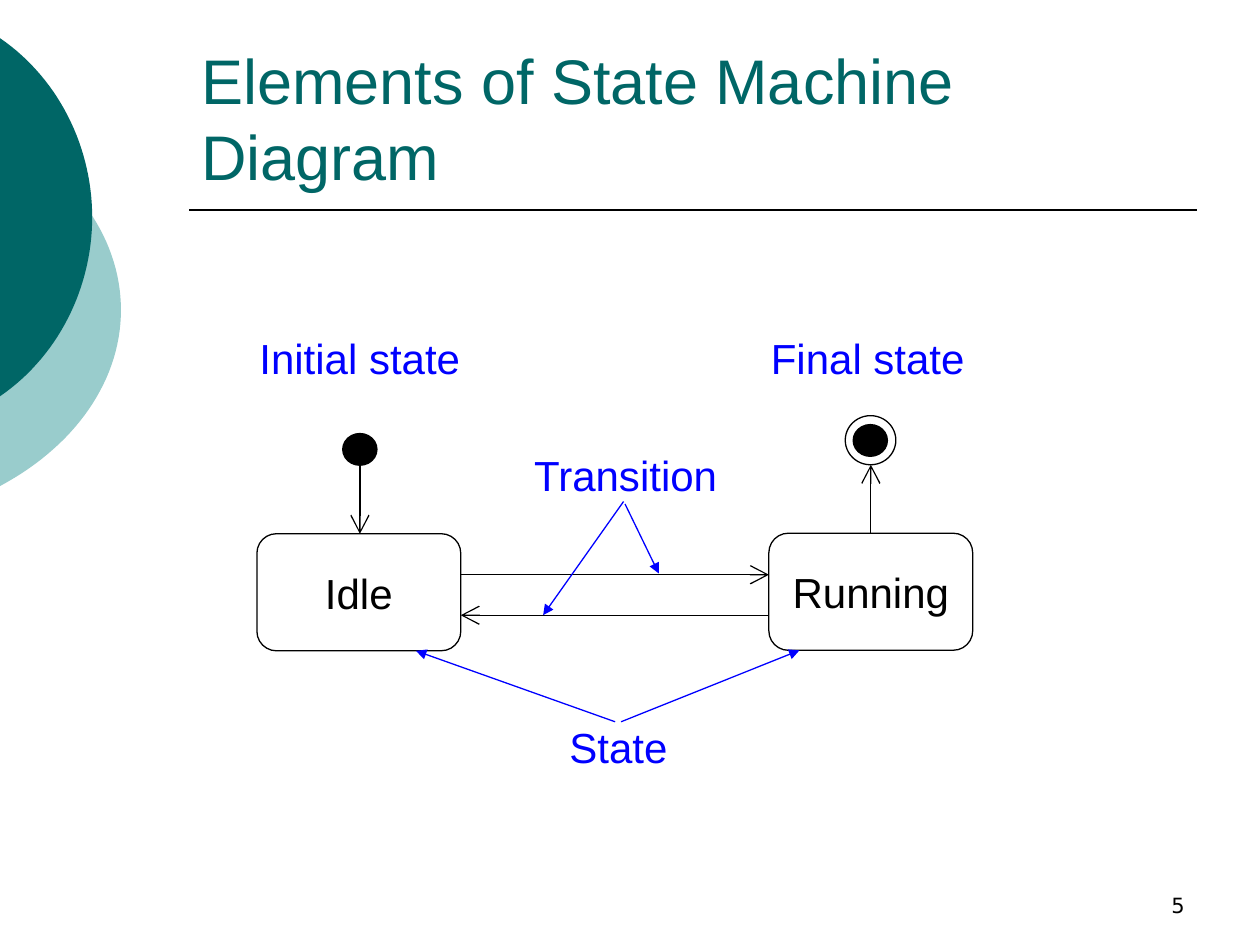
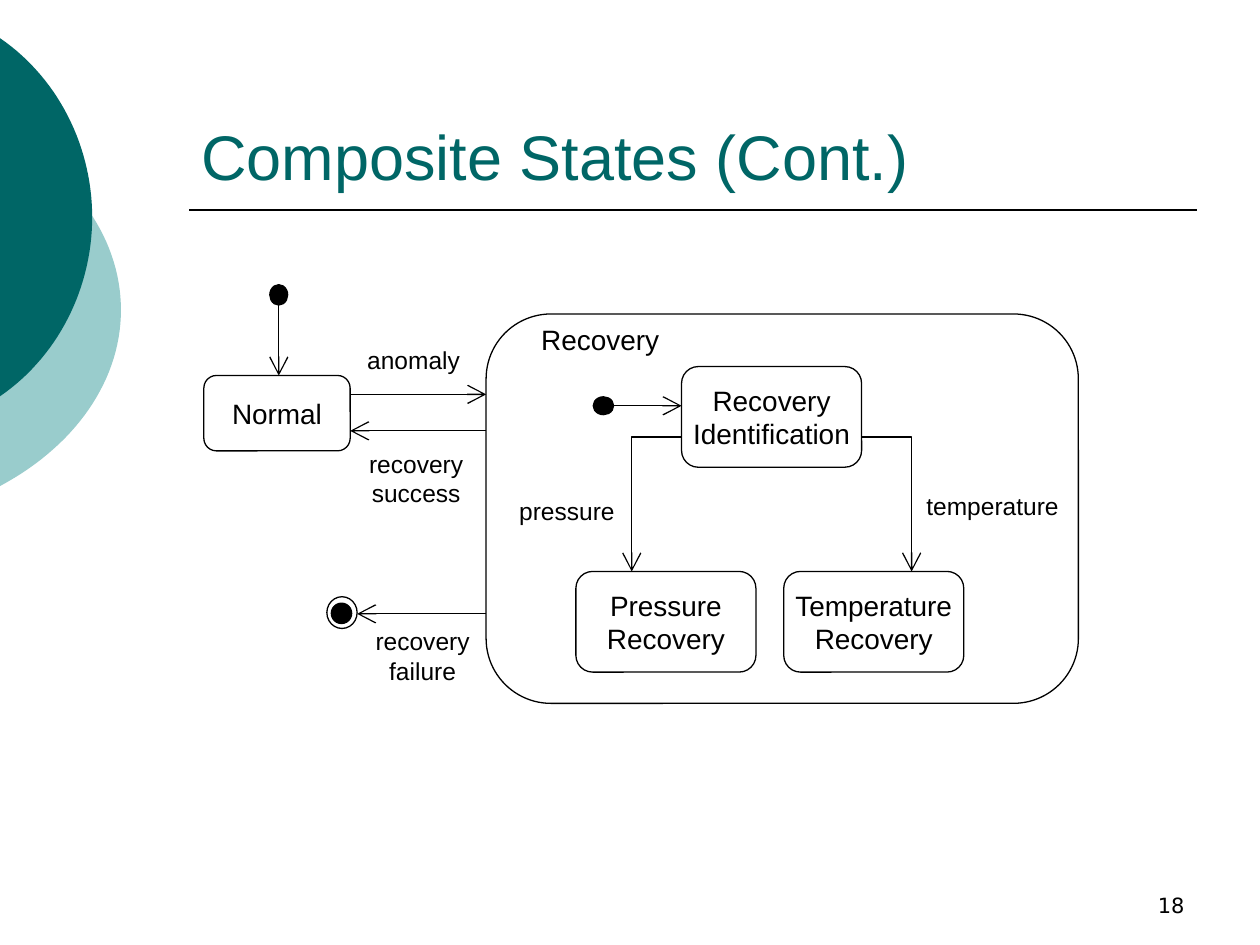
from dataclasses import dataclass

import pptx
import pptx.dml.color
import pptx.enum.shapes
import pptx.enum.text
import pptx.oxml
import pptx.oxml.ns
import pptx.util
from lxml import etree

Cm, Pt = pptx.util.Cm, pptx.util.Pt
Shape = pptx.enum.shapes.MSO_SHAPE
Anchor = pptx.enum.text.MSO_ANCHOR
Align = pptx.enum.text.PP_ALIGN


@dataclass(frozen=True)
class Theme:
    teal: str = "006666"
    pale_teal: str = "99CCCC"
    ink: str = "000000"
    note: str = "0000FF"
    font: str = "Arial"
    number_font: str = "DejaVu Sans"
    title_size: int = 36
    number_size: int = 12
    outline: float = 0.75
    rule: float = 1


THEME = Theme()

# Head type and head size of each kind of arrow.
OPEN_HEAD = ("arrow", "lg")
SOLID_HEAD = ("triangle", "med")

# Lengths are centimetres. Boxes are (left, top, width, height).
# An arrow end is (x, y), or (node, share of its width, share of its height);
# None in the second end keeps the value of the first.
SLIDES = [
    {
        "title": "Elements of State Machine Diagram",
        "number": "5",
        "state_size": 24,
        "label_color": THEME.note,
        "label_align": Align.LEFT,
        "states": {
            "Idle": (5.18, 10.76, 4.11, 2.36),
            "Running": (15.5, 10.75, 4.11, 2.36),
        },
        "dots": {"initial": (6.91, 8.74, 0.69, 0.64), "final": (17.2, 8.56, 0.69, 0.64)},
        "rings": {"final ring": (17.04, 8.38, 1.02, 0.99)},
        "labels": [
            ("Initial state", 24, (4.98, 6.58, 5, 1.27)),
            ("Final state", 24, (15.29, 6.58, 5, 1.27)),
            ("Transition", 24, (10.52, 8.94, 5, 1.27)),
            ("State", 24, (11.23, 14.43, 3, 1.27)),
        ],
        "transitions": [
            (("initial", 0.5, 1), ("Idle", None, 0)),
            (("Idle", 1, 0.35), ("Running", 0, None)),
            (("Running", 0, 0.7), ("Idle", 1, None)),
            (("Running", 0.5, 0), ("final ring", None, 1)),
        ],
        "branches": [],
        "pointers": [
            ((12.6, 10.16), (13.28, 11.56)),
            ((12.57, 10.11), (10.95, 12.4)),
            ((12.52, 14.55), ("Running", 0.15, 1)),
            ((12.4, 14.55), ("Idle", 0.78, 1)),
        ],
    },
    {
        "title": "Composite States (Cont.)",
        "number": "18",
        "state_size": 16,
        "label_color": THEME.ink,
        "label_align": Align.CENTER,
        "states": {
            "Normal": (4.11, 7.57, 2.95, 1.52),
            "Recovery\nIdentification": (13.74, 7.39, 3.63, 2.03),
            "Pressure\nRecovery": (11.61, 11.52, 3.63, 2.03),
            "Temperature\nRecovery": (15.8, 11.52, 3.63, 2.03),
        },
        "composites": {"Recovery": (9.8, 6.33, 11.94, 7.85)},
        "dots": {
            "initial": (5.44, 5.74, 0.36, 0.41),
            "recovery initial": (11.96, 8, 0.41, 0.36),
            "final": (6.68, 12.16, 0.41, 0.41),
        },
        "rings": {"final ring": (6.59, 12.03, 0.61, 0.64)},
        "labels": [
            ("Recovery", 16, (10.1, 6.38, 4, 0.94)),
            ("anomaly", 14, (6.84, 6.83, 3, 0.86)),
            ("recovery\nsuccess", 14, (6.89, 8.92, 3, 1.45)),
            ("recovery\nfailure", 14, (7.02, 12.5, 3, 1.45)),
            ("pressure", 14, (9.93, 9.88, 3, 0.86)),
            ("temperature", 14, (18.01, 9.78, 4, 0.86)),
        ],
        "transitions": [
            (("initial", 0.5, 1), ("Normal", None, 0)),
            (("Normal", 1, 0.25), ("Recovery", 0, None)),
            (("Recovery", 0, 0.3), ("Normal", 1, None)),
            (("Recovery", 0, 0.77), ("final ring", 1, None)),
            (("recovery initial", 1, 0.5), ("Recovery\nIdentification", 0, None)),
        ],
        "branches": [
            (("Recovery\nIdentification", 0, 0.7), ("Pressure\nRecovery", 0.31, 0)),
            (("Recovery\nIdentification", 1, 0.7), ("Temperature\nRecovery", 0.71, 0)),
        ],
        "pointers": [],
    },
]

# Upper half of each edge disc as a Bezier curve, mirrored below its last point.
EDGE_DISCS = [
    (THEME.pale_teal, [(0, 2.7), (1.52, 3.51), (2.44, 4.83), (2.44, 6.25)]),
    (THEME.teal, [(0, 0.77), (1.17, 1.57), (1.86, 2.95), (1.86, 4.38)]),
]
TITLE_BOX = (3.81, 0.84, 20.32, 3.18)
RULE = ((3.81, 4.24), (24.13, 4.24))
NUMBER_BOX = (18.21, 17.35, 5.92, 1.27)


def rgb(color):
    return pptx.dml.color.RGBColor.from_string(color)


def lengths(values):
    return [Cm(value) for value in values]


def write(shape, text, size, color, align, anchor, wrap=False, font=THEME.font):
    frame = shape.text_frame
    frame.text = text
    frame.word_wrap = wrap
    frame.vertical_anchor = anchor
    for paragraph in frame.paragraphs:
        paragraph.alignment = align
        for run in paragraph.runs:
            run.font.name = font
            run.font.size = Pt(size)
            run.font.color.rgb = rgb(color)


def add_text(slide, box, *style, **options):
    write(slide.shapes.add_textbox(*lengths(box)), *style, **options)


def add_node(slide, kind, box, fill=None):
    node = slide.shapes.add_shape(kind, *lengths(box))
    node.shadow.inherit = False
    if fill:
        node.fill.solid()
        node.fill.fore_color.rgb = rgb(fill)
    else:
        node.fill.background()
    node.line.color.rgb = rgb(THEME.ink)
    node.line.width = Pt(THEME.outline)
    return node


def finish_line(line_shape, color, width, head=None):
    """Colour a line, drop its shadow and give its end an arrowhead."""
    line_shape.line.color.rgb = rgb(color)
    line_shape.line.width = Pt(width)
    properties = line_shape._element.spPr
    qn = pptx.oxml.ns.qn
    if head:
        kind, size = head
        etree.SubElement(properties.find(qn("a:ln")), qn("a:tailEnd"), type=kind, w=size, len=size)
    if properties.find(qn("a:effectLst")) is None:
        etree.SubElement(properties, qn("a:effectLst"))


def add_line(slide, start, end, color, width, head=None):
    straight = pptx.enum.shapes.MSO_CONNECTOR.STRAIGHT
    line = slide.shapes.add_connector(straight, *lengths(start + end))
    finish_line(line, color, width, head)


def add_outline(slide, points, close):
    first, *rest = [tuple(lengths(point)) for point in points]
    builder = slide.shapes.build_freeform(*first)
    builder.add_line_segments(rest, close=close)
    return builder.convert_to_shape()


def add_branch(slide, start, end):
    """Draw an arrow that runs sideways, then down."""
    branch = add_outline(slide, [start, (end[0], start[1]), end], close=False)
    branch.fill.background()
    finish_line(branch, THEME.ink, THEME.outline, OPEN_HEAD)


def bezier(controls, steps=30):
    points = []
    for step in range(steps + 1):
        t = step / steps
        weights = ((1 - t) ** 3, 3 * t * (1 - t) ** 2, 3 * t * t * (1 - t), t ** 3)
        points.append(tuple(sum(w * c[axis] for w, c in zip(weights, controls)) for axis in (0, 1)))
    return points


def add_frame(slide, title, number):
    """Add what every slide shares: discs, rule, title and number."""
    for color, controls in EDGE_DISCS:
        upper = bezier(controls)
        middle = controls[-1][1]
        lower = [(x, 2 * middle - y) for x, y in reversed(upper[:-1])]
        disc = add_outline(slide, upper + lower, close=True)
        disc.shadow.inherit = False
        disc.fill.solid()
        disc.fill.fore_color.rgb = rgb(color)
        disc.line.fill.background()
    add_line(slide, *RULE, THEME.ink, THEME.rule)
    add_text(slide, TITLE_BOX, title, THEME.title_size, THEME.teal,
             Align.LEFT, Anchor.BOTTOM, wrap=True)
    add_text(slide, NUMBER_BOX, number, THEME.number_size, THEME.ink,
             Align.RIGHT, Anchor.BOTTOM, wrap=True, font=THEME.number_font)


def locate(place, nodes, start=(None, None)):
    """Turn an arrow end into x and y."""
    if len(place) == 2:
        return place
    name, *shares = place
    box = nodes[name]
    return tuple(start[axis] if share is None else box[axis] + share * box[axis + 2]
                 for axis, share in enumerate(shares))


def add_diagram(slide, content):
    composites = content.get("composites", {})
    nodes = composites | content["states"] | content["dots"] | content["rings"]

    def ends(key):
        for source, target in content[key]:
            start = locate(source, nodes)
            yield start, locate(target, nodes, start)

    for box in composites.values():
        add_node(slide, Shape.ROUNDED_RECTANGLE, box)
    for name, box in content["states"].items():
        state = add_node(slide, Shape.ROUNDED_RECTANGLE, box)
        write(state, name, content["state_size"], THEME.ink, Align.CENTER, Anchor.MIDDLE)
    for box in content["dots"].values():
        add_node(slide, Shape.OVAL, box, THEME.ink)
    for box in content["rings"].values():
        add_node(slide, Shape.OVAL, box)
    for text, size, box in content["labels"]:
        add_text(slide, box, text, size, content["label_color"],
                 content["label_align"], Anchor.TOP)
    for start, end in ends("transitions"):
        add_line(slide, start, end, THEME.ink, THEME.outline, OPEN_HEAD)
    for start, end in ends("branches"):
        add_branch(slide, start, end)
    for start, end in ends("pointers"):
        add_line(slide, start, end, THEME.note, THEME.outline, SOLID_HEAD)


def main():
    deck = pptx.Presentation()
    deck.slide_width, deck.slide_height = Cm(25.4), Cm(19.05)
    for content in SLIDES:
        slide = deck.slides.add_slide(deck.slide_layouts[6])
        add_frame(slide, content["title"], content["number"])
        add_diagram(slide, content)
    deck.save("out.pptx")


if __name__ == "__main__":
    main()
